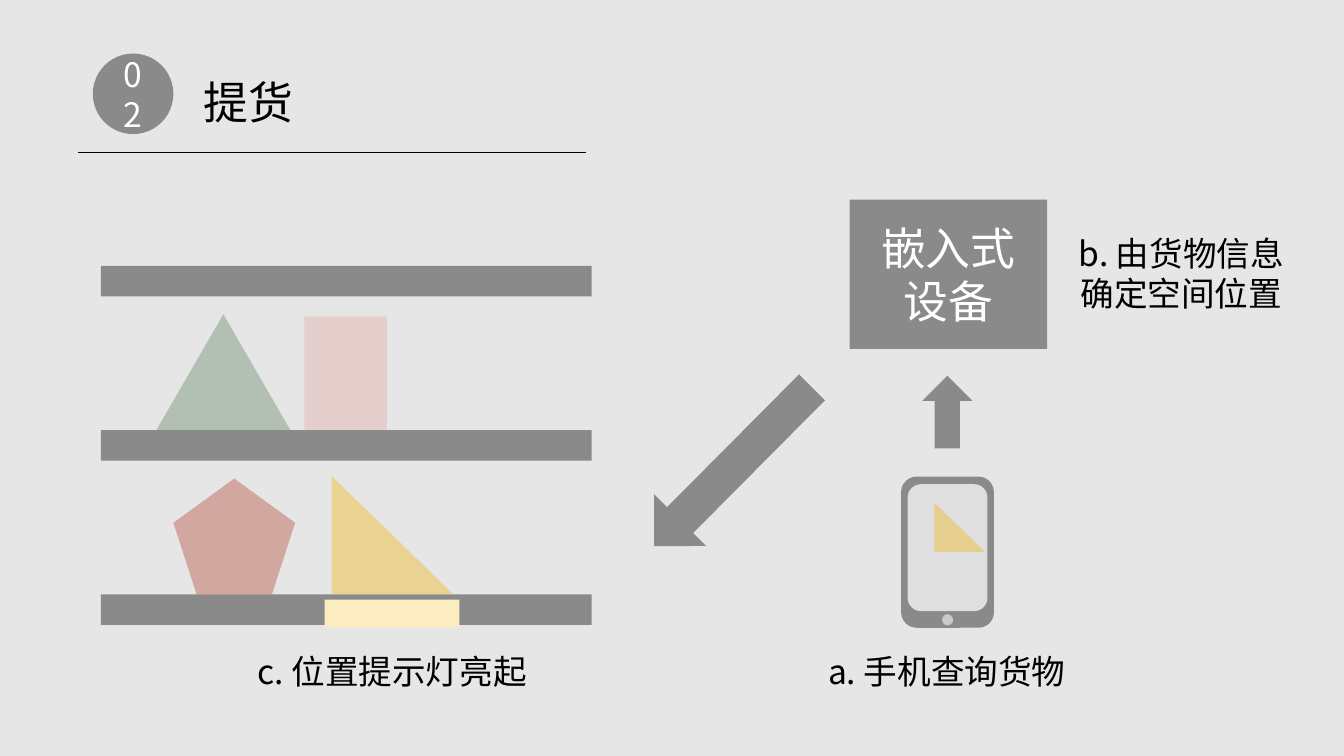
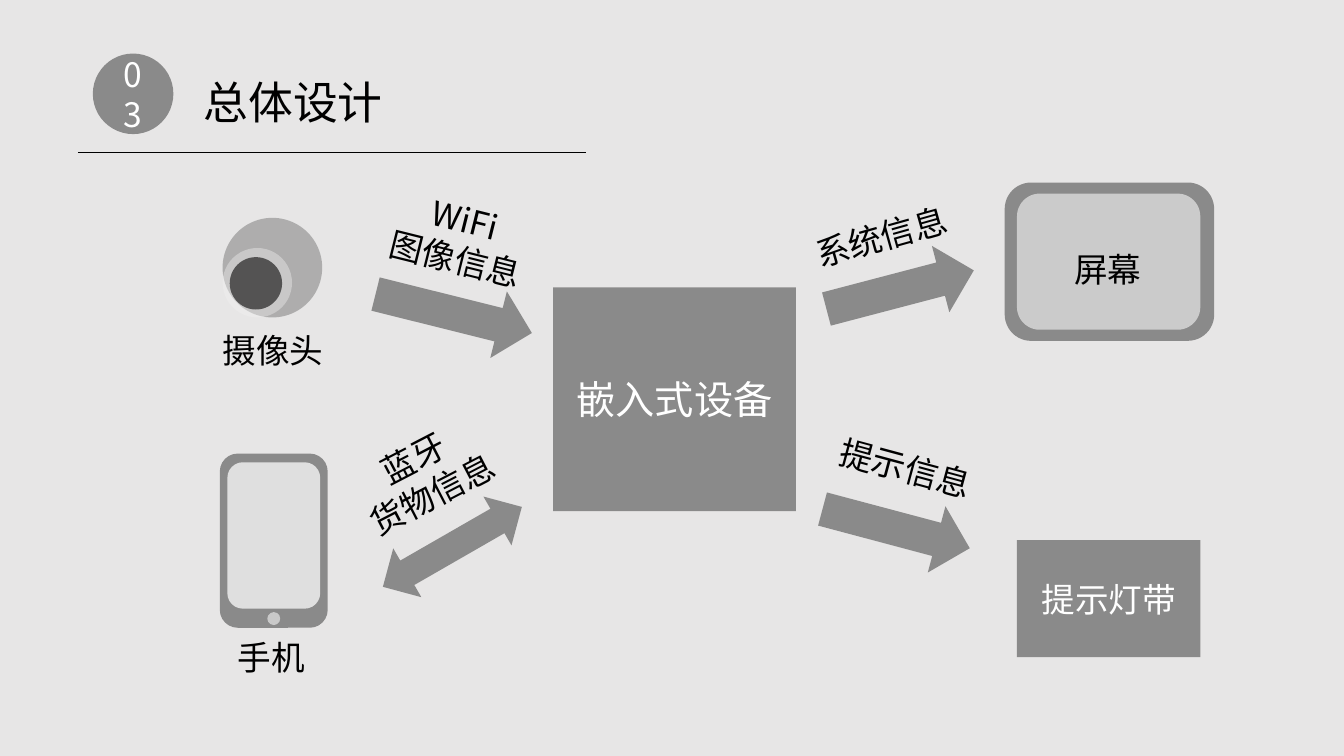
import lxml.etree
import pptx
import pptx.dml.color
import pptx.enum.shapes
import pptx.enum.text
import pptx.oxml.ns
import pptx.util
from dataclasses import dataclass

Cm = pptx.util.Cm
Geometry = pptx.enum.shapes.MSO_SHAPE
Align = pptx.enum.text.PP_ALIGN


@dataclass(frozen=True)
class Theme:
    font: str = "Noto Sans CJK SC"
    background: str = "E7E6E6"
    ink: str = "000000"
    paper: str = "FFFFFF"
    camera_body: str = "595959"
    camera_ring: str = "F2F2F2"
    green: str = "628764"
    pink: str = "E3AEA5"
    red: str = "B44937"
    yellow: str = "F0B515"
    lamp: str = "FBECC2"
    title: int = 32
    label: int = 24
    hub: int = 28
    tint: int = 40


theme = Theme()

pickup = {
    "number": "02",
    "title": "提货",
    "phone": (22.71, 12.01, 2.34, 3.81),
    "boxes": [("嵌入式设备", theme.title, (21.41, 5.03, 4.98, 3.76))],
    "arrows": [
        (Geometry.UP_ARROW, (23.24, 9.47, 1.27, 1.83), 0),
        (Geometry.UP_ARROW, (17.55, 8.94, 1.85, 5.64), 224.8),
    ],
    "labels": [
        (["a. 手机查询货物"], (20.62, 16.28, 6.55, 1.27), 0, Align.LEFT, True),
        (["b. 由货物信息确定空间位置"], (26.8, 5.74, 5.94, 2.31), 0, Align.CENTER, True),
        (["c. 位置提示灯亮起"], (6.2, 16.28, 7.37, 1.27), 0, Align.CENTER, True),
    ],
}
shelf = {"left": 2.54, "top": 6.7, "width": 12.37, "height": 0.77, "pitch": 4.14, "count": 3}
goods = [
    (1, Geometry.ISOSCELES_TRIANGLE, theme.green, 3.94, 3.38, 2.92),
    (1, Geometry.RECTANGLE, theme.pink, 7.67, 2.08, 2.87),
    (2, Geometry.REGULAR_PENTAGON, theme.red, 4.37, 3.07, 2.92),
    (2, Geometry.RIGHT_TRIANGLE, theme.yellow, 8.36, 3.07, 2.98),
]
queried_item = (23.55, 12.67, 1.27, 1.24)
lamp = (8.18, 15.11, 3.4, 0.71)

design = {
    "number": "03",
    "title": "总体设计",
    "phone": (5.54, 11.43, 2.72, 4.39),
    "boxes": [
        ("嵌入式设备", theme.hub, (13.94, 7.24, 6.12, 5.64)),
        ("提示灯带", theme.label, (25.63, 13.61, 4.62, 2.95)),
    ],
    "arrows": [
        (Geometry.DOWN_ARROW, (10.57, 5.87, 1.73, 4.06), 284),
        (Geometry.DOWN_ARROW, (21.72, 11.4, 1.73, 3.84), 284.9),
        (Geometry.UP_DOWN_ARROW, (10.69, 11.76, 1.42, 4.04), 60.1),
        (Geometry.DOWN_ARROW, (21.82, 5.38, 1.73, 3.84), 255.3),
    ],
    "labels": [
        (["WiFi", "图像信息"], (9.63, 4.88, 3.94, 2.31), 14, Align.CENTER, False),
        (["蓝牙", "货物信息"], (8.69, 10.85, 3.94, 2.31), 332.5, Align.CENTER, False),
        (["系统信息"], (20.24, 5.33, 3.94, 1.27), 344.3, Align.CENTER, False),
        (["提示信息"], (20.85, 11.15, 3.94, 1.27), 15.1, Align.CENTER, False),
        (["屏幕"], (26.82, 6.15, 2.24, 1.27), 0, Align.LEFT, False),
        (["摄像头"], (5.36, 8.2, 3.07, 1.27), 0, Align.LEFT, False),
        (["手机"], (5.74, 15.93, 2.24, 1.27), 0, Align.LEFT, False),
    ],
}
camera = [
    (theme.camera_body, 40, (5.61, 5.49, 2.51, 2.51)),
    (theme.camera_ring, 40, (5.61, 6.25, 1.75, 1.75)),
    (theme.ink, 58, (5.79, 6.48, 1.32, 1.32)),
]
screen = [
    (theme.ink, 40, (25.32, 4.6, 5.28, 3.99)),
    (theme.paper, 56, (25.63, 4.88, 4.62, 3.43)),
]


def rgb(value):
    return pptx.dml.color.RGBColor.from_string(value)


def write(shape, lines, size, color, align):
    frame = shape.text_frame
    for index, line in enumerate(lines):
        paragraph = frame.add_paragraph() if index else frame.paragraphs[0]
        paragraph.add_run().text = line
        paragraph.alignment = align
        paragraph.font.size = pptx.util.Pt(size)
        paragraph.font.name = theme.font
        paragraph.font.color.rgb = rgb(color)
        defaults = paragraph._p.pPr.find(pptx.oxml.ns.qn("a:defRPr"))
        lxml.etree.SubElement(defaults, pptx.oxml.ns.qn("a:ea"), typeface=theme.font)


def add_shape(slide, geometry, place, color=theme.ink, opacity=theme.tint, rotation=0):
    shape = slide.shapes.add_shape(geometry, *map(Cm, place))
    shape.shadow.inherit = False
    shape.rotation = rotation
    shape.line.fill.background()
    shape.fill.solid()
    shape.fill.fore_color.rgb = rgb(color)
    if opacity < 100:
        fill = shape._element.spPr.find(pptx.oxml.ns.qn("a:solidFill"))
        lxml.etree.SubElement(fill[0], pptx.oxml.ns.qn("a:alpha"), val=str(opacity * 1000))
    return shape


def add_text(slide, lines, place, size=theme.label, rotation=0, align=Align.LEFT, wrap=False):
    box = slide.shapes.add_textbox(*map(Cm, place))
    box.rotation = rotation
    box.text_frame.word_wrap = wrap
    write(box, lines, size, theme.ink, align)


def add_phone(slide, left, top, width, height):
    add_shape(slide, Geometry.ROUNDED_RECTANGLE, (left, top, width, height))
    display = (left + 0.07 * width, top + 0.05 * height, 0.86 * width, 0.84 * height)
    add_shape(slide, Geometry.ROUNDED_RECTANGLE, display, theme.paper, 73)
    button = 0.12 * width
    place = (left + (width - button) / 2, top + 0.91 * height, button, button)
    add_shape(slide, Geometry.OVAL, place, theme.paper, 54)


def add_header(slide, number, title):
    badge = add_shape(slide, Geometry.OVAL, (2.34, 1.35, 2.03, 2.03))
    write(badge, [number], theme.label, theme.paper, Align.CENTER)
    add_text(slide, [title], (4.88, 1.75, 0.53 + 1.17 * len(title), 1.63), theme.title)
    straight = pptx.enum.shapes.MSO_CONNECTOR.STRAIGHT
    rule = slide.shapes.add_connector(straight, Cm(1.96), Cm(3.84), Cm(14.76), Cm(3.84))
    rule.line.color.rgb = rgb(theme.ink)
    rule.line.width = pptx.util.Pt(1)
    lxml.etree.SubElement(rule._element.spPr, pptx.oxml.ns.qn("a:effectLst"))


def add_diagram_slide(presentation, content):
    slide = presentation.slides.add_slide(presentation.slide_layouts[6])
    slide.background.fill.solid()
    slide.background.fill.fore_color.rgb = rgb(theme.background)
    add_header(slide, content["number"], content["title"])
    add_phone(slide, *content["phone"])
    for text, size, place in content["boxes"]:
        box = add_shape(slide, Geometry.RECTANGLE, place)
        write(box, [text], size, theme.paper, Align.CENTER)
    for geometry, place, rotation in content["arrows"]:
        add_shape(slide, geometry, place, rotation=rotation)
    for lines, place, rotation, align, wrap in content["labels"]:
        add_text(slide, lines, place, theme.label, rotation, align, wrap)
    return slide


presentation = pptx.Presentation()
presentation.slide_width = Cm(33.87)
presentation.slide_height = Cm(19.05)

slide = add_diagram_slide(presentation, pickup)
shelf_tops = [shelf["top"] + row * shelf["pitch"] for row in range(shelf["count"])]
for top in shelf_tops:
    add_shape(slide, Geometry.RECTANGLE, (shelf["left"], top, shelf["width"], shelf["height"]))
for row, geometry, color, left, width, height in goods:
    add_shape(slide, geometry, (left, shelf_tops[row] - height, width, height), color)
add_shape(slide, Geometry.RIGHT_TRIANGLE, queried_item, theme.yellow)
add_shape(slide, Geometry.RECTANGLE, lamp, theme.lamp, 100)

slide = add_diagram_slide(presentation, design)
for color, opacity, place in camera:
    add_shape(slide, Geometry.OVAL, place, color, opacity)
label_anchor = next(shape for shape in slide.shapes if shape.has_text_frame and shape.text_frame.text == "屏幕")
for color, opacity, place in screen:
    panel = add_shape(slide, Geometry.ROUNDED_RECTANGLE, place, color, opacity)
    label_anchor._element.addprevious(panel._element)

presentation.save("out.pptx")
